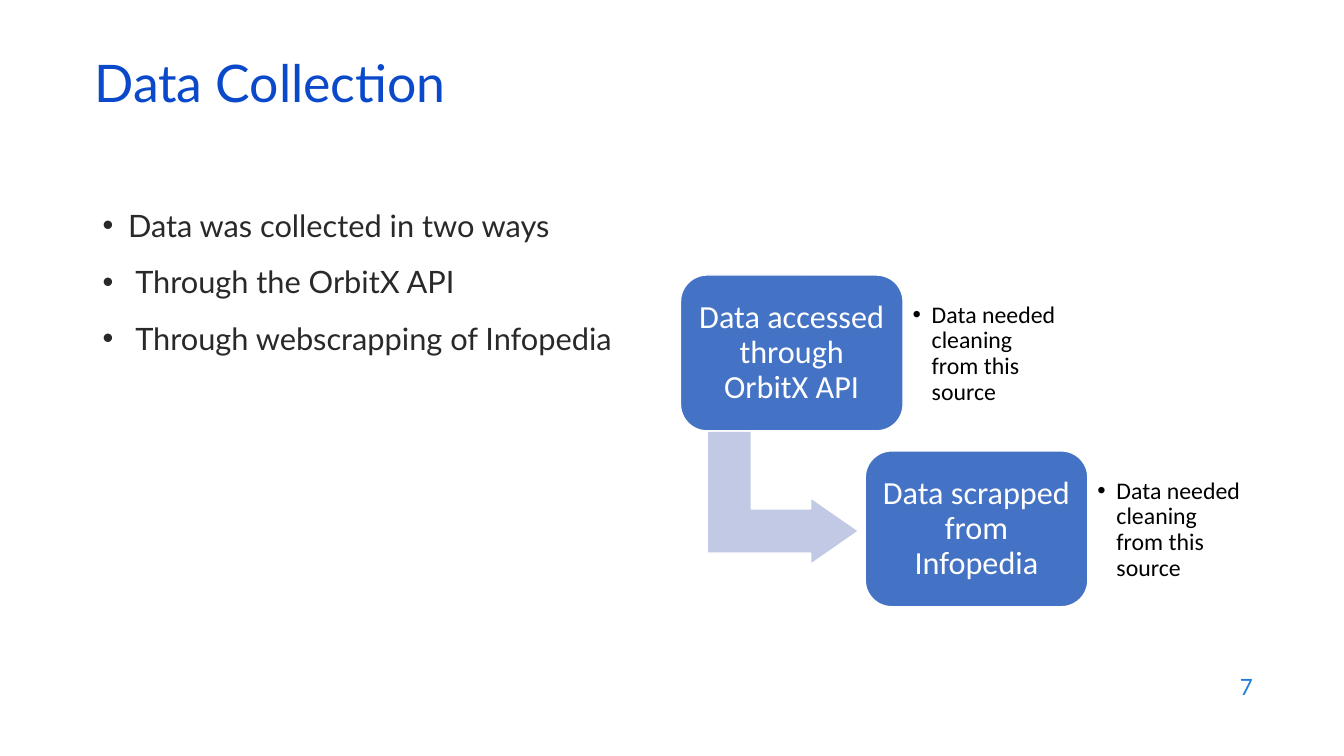
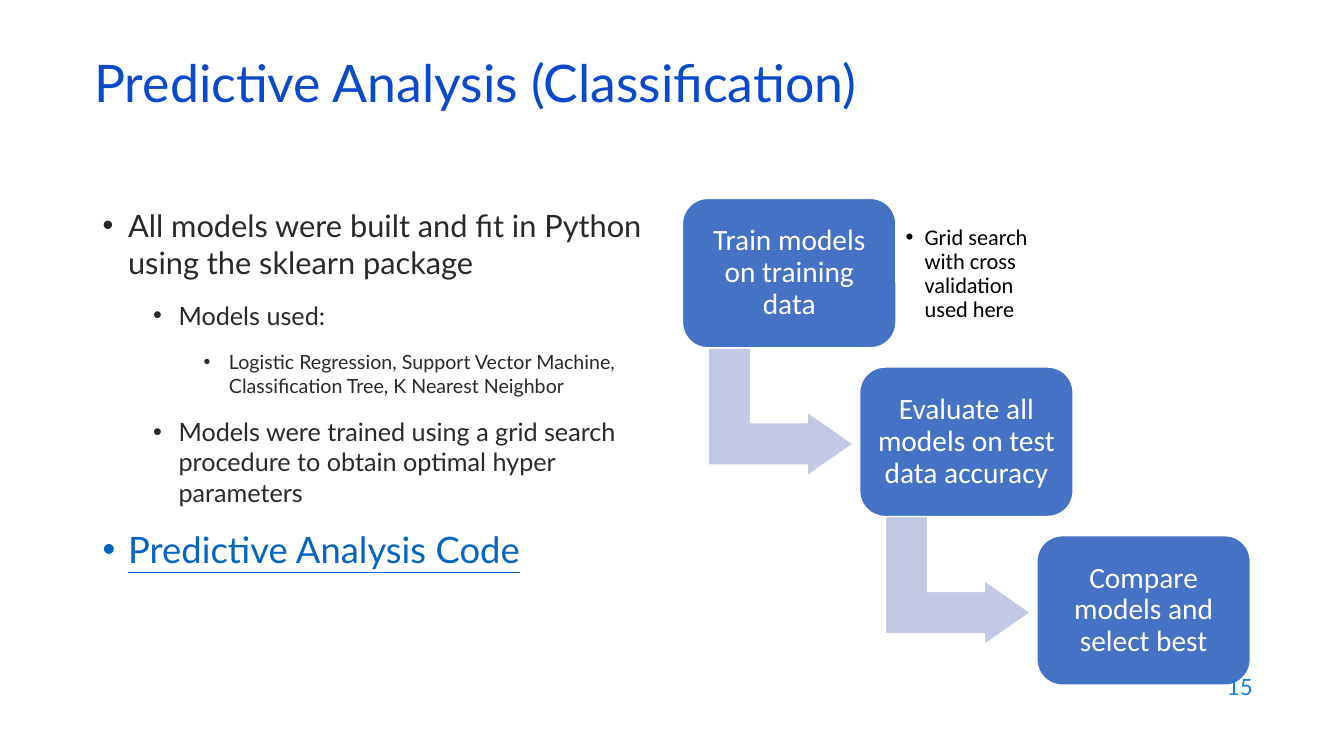
from dataclasses import dataclass

from lxml.etree import SubElement
from pptx import Presentation
from pptx.dml.color import RGBColor as Rgb
from pptx.enum.shapes import MSO_SHAPE as Preset
from pptx.enum.text import MSO_ANCHOR as Anchor, PP_ALIGN as Align
from pptx.oxml.ns import qn
from pptx.util import Cm, Pt

# Content: bullets are (level, text, style)
SLIDES = [
    {
        "title": "Data Collection",
        "number": "7",
        "bullets": [
            (0, "Data was collected in two ways", "main"),
            (0, "Through the OrbitX API", "inset"),
            (0, "Through webscrapping of Infopedia", "inset"),
        ],
        "flow": {"left": 17.15, "top": 6.93, "width": 5.61, "step_size": 23, "note_size": 17},
        "steps": [
            ("Data accessed through OrbitX API", "Data needed cleaning from this source"),
            ("Data scrapped from Infopedia", "Data needed cleaning from this source"),
        ],
    },
    {
        "title": "Predictive Analysis (Classification)",
        "number": "15",
        "bullets": [
            (0, "All models were built and fit in Python using the sklearn package", "main"),
            (1, "Models used:", "sub"),
            (2, "Logistic Regression, Support Vector Machine, Classification Tree, "
                "K Nearest Neighbor", "detail"),
            (1, "Models were trained using a grid search procedure to obtain "
                "optimal hyper parameters", "sub"),
            (0, "Predictive Analysis Code", "link"),
        ],
        "flow": {"left": 17.2, "top": 5, "width": 5.38, "step_size": 21, "note_size": 16},
        "steps": [
            ("Train models on training data", "Grid search with cross validation used here"),
            ("Evaluate all models on test data accuracy", None),
            ("Compare models and select best", None),
        ],
    },
]


@dataclass(frozen=True)
class Theme:
    text_font: str = "Lato"
    flow_font: str = "Calibri"
    title: str = "0B49CB"
    body: str = "292929"
    link: str = "0563C1"
    number: str = "1C7DDB"
    step: str = "4472C4"
    arrow: str = "C1C9E4"
    white: str = "FFFFFF"
    black: str = "000000"
    title_size: int = 37
    number_size: int = 16
    main_size: int = 22
    sub_size: int = 18
    detail_size: int = 14
    link_size: int = 26


THEME = Theme()

# Bullet styles: size, colour, underline, hanging indent in cm
STYLES = {
    "main": (THEME.main_size, THEME.body, None, 0.64),
    "inset": (THEME.main_size, THEME.body, None, 0.82),
    "sub": (THEME.sub_size, THEME.body, None, 0.64),
    "detail": (THEME.detail_size, THEME.body, None, 0.64),
    "link": (THEME.link_size, THEME.link, True, 0.64),
}

# Places in cm
SLIDE_SIZE = (33.87, 19.05)
TITLE_BOX = (2.13, 1.5, 29.21, 1.52)
BODY_BOX = (2.34, 5.08, 14.4, 12.09)
NUMBER_BOX = (24.2, 16.74, 7.62, 1.12)
LEVEL_INDENT = 1.27
FLOW_INSET = 0.24

# Flow proportions, as shares of the step width
STEP_HEIGHT = 0.7
STEP_PITCH = (0.83, 0.79)
NOTE_OFFSET, NOTE_SIZE = (1, 0.07), (0.73, 0.57)
ARROW_OFFSET, ARROW_SIZE = (0.16, 0.66), (0.6, 0.68)


def set_all(target, **values):
    for name, value in values.items():
        setattr(target, name, value)


def set_frame(shape, anchor=Anchor.MIDDLE, inset=None):
    frame = shape.text_frame
    set_all(frame, word_wrap=True, vertical_anchor=anchor)
    if inset is not None:
        sides = ("left", "top", "right", "bottom")
        set_all(frame, **{f"margin_{side}": Cm(inset) for side in sides})
    return frame


def add_box(slide, box, **frame_format):
    return set_frame(slide.shapes.add_textbox(*map(Cm, box)), **frame_format)


def write(paragraph, text, font, size, color, underline=None, **paragraph_format):
    set_all(paragraph, **paragraph_format)
    run = paragraph.add_run()
    run.text = text
    set_all(run.font, name=font, size=Pt(size), underline=underline)
    run.font.color.rgb = Rgb.from_string(color)


def add_bullet(paragraph, left, hanging):
    properties = paragraph._p.get_or_add_pPr()
    properties.set("marL", str(Cm(left)))
    properties.set("indent", str(-Cm(hanging)))
    SubElement(properties, qn("a:buFont")).set("typeface", "Arial")
    SubElement(properties, qn("a:buChar")).set("char", "•")


def add_preset(slide, preset, box, fill, adjustments):
    shape = slide.shapes.add_shape(preset, *map(Cm, box))
    shape.shadow.inherit = False
    shape.fill.solid()
    shape.fill.fore_color.rgb = Rgb.from_string(fill)
    shape.line.color.rgb = Rgb.from_string(THEME.white)
    shape.line.width = Pt(1)
    for index, value in enumerate(adjustments):
        shape.adjustments[index] = value
    return shape


def add_body(slide, bullets):
    frame = add_box(slide, BODY_BOX, anchor=Anchor.TOP)
    for index, (level, text, style) in enumerate(bullets):
        paragraph = frame.add_paragraph() if index else frame.paragraphs[0]
        size, color, underline, hanging = STYLES[style]
        add_bullet(paragraph, level * LEVEL_INDENT + hanging, hanging)
        write(paragraph, text, THEME.text_font, size, color, underline,
              level=level, space_before=Pt(14 if index else 0))


def add_flow(slide, flow, steps):
    width = flow["width"]
    for index, (label, note) in enumerate(steps):
        left = flow["left"] + index * STEP_PITCH[0] * width
        top = flow["top"] + index * STEP_PITCH[1] * width

        def place(offset, size):
            return (left + offset[0] * width, top + offset[1] * width,
                    size[0] * width, size[1] * width)

        # Arrow to the next step
        if index < len(steps) - 1:
            arrow = add_preset(slide, Preset.BENT_UP_ARROW, place(ARROW_OFFSET, ARROW_SIZE),
                               THEME.arrow, (0.33, 0.25, 0.36))
            arrow.rotation = 90

        # Step
        step = add_preset(slide, Preset.ROUNDED_RECTANGLE, place((0, 0), (1, STEP_HEIGHT)),
                          THEME.step, (0.17,))
        write(set_frame(step, inset=FLOW_INSET).paragraphs[0], label, THEME.flow_font,
              flow["step_size"], THEME.white, alignment=Align.CENTER, line_spacing=0.9)

        # Note beside the step
        if note:
            frame = add_box(slide, place(NOTE_OFFSET, NOTE_SIZE), inset=FLOW_INSET)
            paragraph = frame.paragraphs[0]
            add_bullet(paragraph, 0.48, 0.48)
            write(paragraph, note, THEME.flow_font, flow["note_size"], THEME.black,
                  line_spacing=0.9)


def add_slide(presentation, content):
    slide = presentation.slides.add_slide(presentation.slide_layouts[6])
    add_body(slide, content["bullets"])
    add_flow(slide, content["flow"], content["steps"])
    write(add_box(slide, NUMBER_BOX).paragraphs[0], content["number"], THEME.text_font,
          THEME.number_size, THEME.number, alignment=Align.RIGHT)
    write(add_box(slide, TITLE_BOX).paragraphs[0], content["title"], THEME.text_font,
          THEME.title_size, THEME.title, line_spacing=0.7)


def main():
    presentation = Presentation()
    presentation.slide_width, presentation.slide_height = map(Cm, SLIDE_SIZE)
    for content in SLIDES:
        add_slide(presentation, content)
    presentation.save("out.pptx")


if __name__ == "__main__":
    main()
